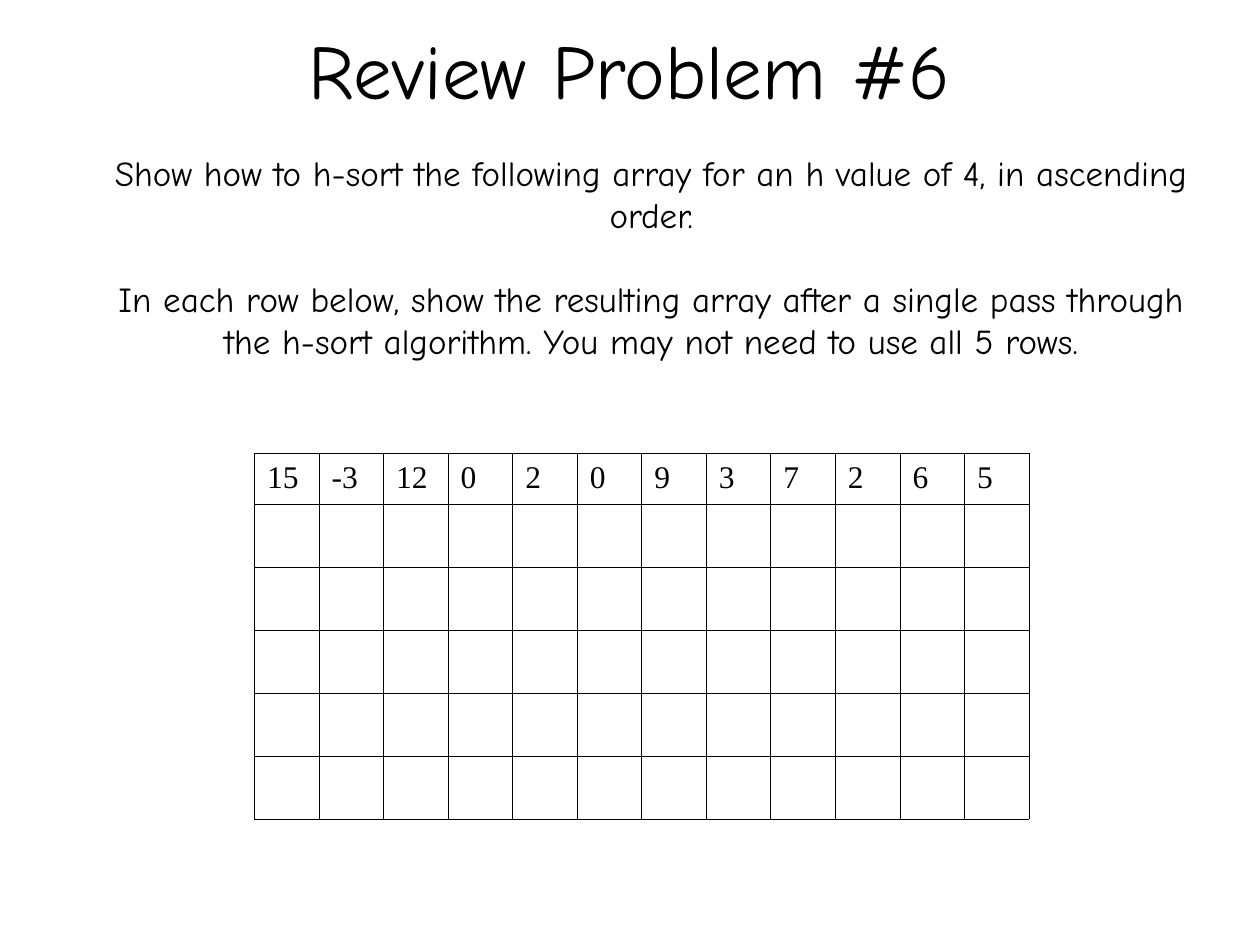
import pptx
import pptx.util
import pptx.dml.color
import pptx.enum.text
import pptx.oxml
import pptx.oxml.ns
import lxml.etree

TITLE = ["Review Problem #6"]
TASK = [
    "Show how to h-sort the following array for an h value of 4, in ascending order.",
    "In each row below, show the resulting array after a single pass through "
    "the h-sort algorithm. You may not need to use all 5 rows.",
]
ARRAY = [15, -3, 12, 0, 2, 0, 9, 3, 7, 2, 6, 5]
SPARE = 5

THEME = {
    "ink": "000000",
    "head": ("Comic Neue", 44),
    "body": ("Comic Neue", 20),
    "cell": ("Times New Roman", 18),
    "gap": 24,
    "line": 0.45,
}
WIDE, HIGH = 10, 7.5
GRID = {"left": 2.02, "top": 3.6, "width": 6.15, "first": 0.4, "rest": 0.5}

Inches, Pt = pptx.util.Inches, pptx.util.Pt
ALIGN = pptx.enum.text.PP_ALIGN
ANCHOR = pptx.enum.text.MSO_ANCHOR


def add_run(para, text, style):
    run = para.add_run()
    run.text = text
    face, size = THEME[style]
    run.font.name = face
    run.font.size = Pt(size)
    run.font.color.rgb = pptx.dml.color.RGBColor.from_string(THEME["ink"])


def add_text(slide, lines, style, place, anchor):
    box = slide.shapes.add_textbox(*map(Inches, place))
    frame = box.text_frame
    frame.word_wrap = True
    frame.vertical_anchor = anchor
    for i, line in enumerate(lines):
        para = frame.paragraphs[0] if i == 0 else frame.add_paragraph()
        para.alignment = ALIGN.CENTER
        if i:
            para.space_before = Pt(THEME["gap"])
        add_run(para, line, style)


def add_edges(cell):
    props = cell._tc.get_or_add_tcPr()
    name = pptx.oxml.ns.qn
    for side in ("lnL", "lnR", "lnT", "lnB"):
        edge = lxml.etree.SubElement(props, name("a:" + side), w=str(Pt(THEME["line"])))
        fill = lxml.etree.SubElement(edge, name("a:solidFill"))
        lxml.etree.SubElement(fill, name("a:srgbClr"), val=THEME["ink"])


def add_grid(slide):
    highs = [GRID["first"]] + [GRID["rest"]] * SPARE
    place = GRID["left"], GRID["top"], GRID["width"], sum(highs)
    table = slide.shapes.add_table(len(highs), len(ARRAY), *map(Inches, place)).table
    table.first_row = table.horz_banding = False
    for row, high in zip(table.rows, highs):
        row.height = Inches(high)
    for col in table.columns:
        col.width = Inches(GRID["width"] / len(ARRAY))
    for cell in table.iter_cells():
        add_edges(cell)
        cell.fill.background()
    for cell, value in zip(table.rows[0].cells, ARRAY):
        add_run(cell.text_frame.paragraphs[0], str(value), "cell")


def main():
    deck = pptx.Presentation()
    deck.slide_width, deck.slide_height = Inches(WIDE), Inches(HIGH)
    slide = deck.slides.add_slide(deck.slide_layouts[6])
    add_text(slide, TITLE, "head", (0.75, -0.08, 0.85 * WIDE, 1.25), ANCHOR.MIDDLE)
    add_text(slide, TASK, "body", (0.67, 1.15, 0.9 * WIDE, 0.28 * HIGH), ANCHOR.TOP)
    add_grid(slide)
    deck.save("out.pptx")


if __name__ == "__main__":
    main()
